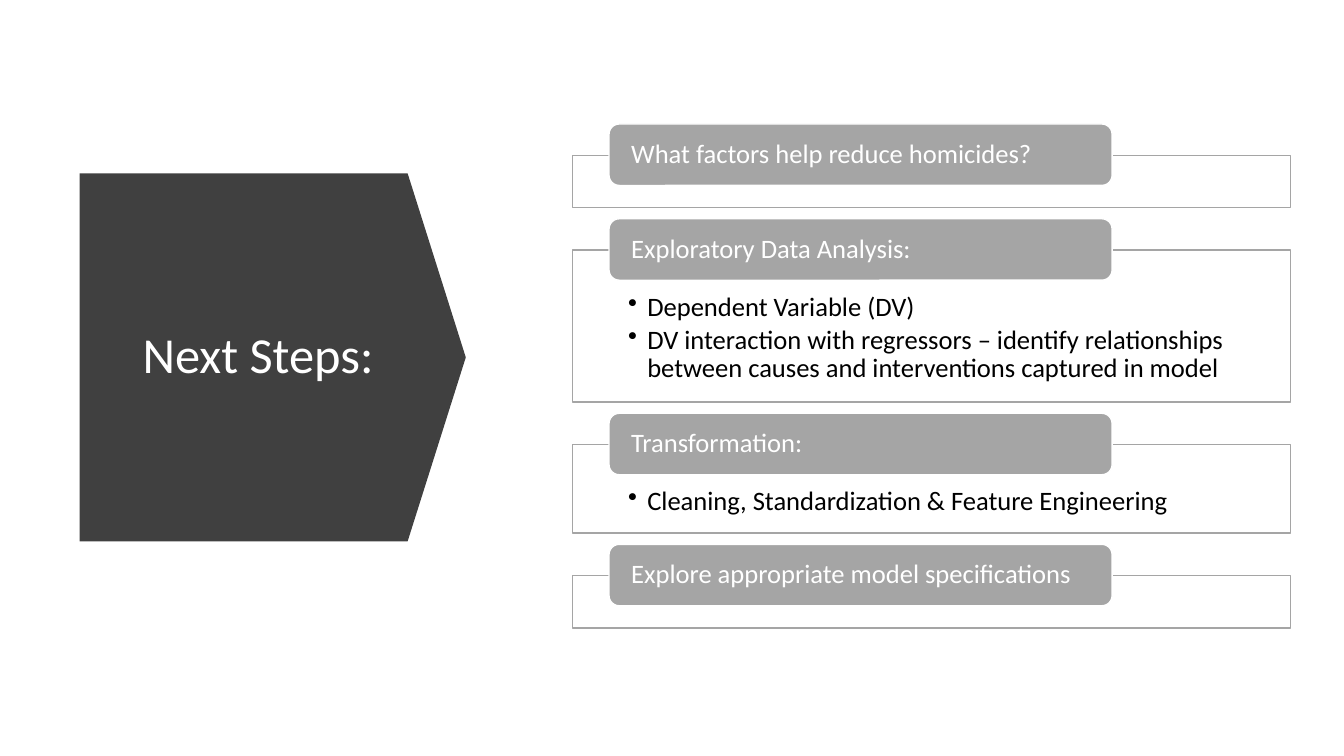
from lxml import etree
from pptx import Presentation
from pptx.dml.color import RGBColor
from pptx.enum.shapes import MSO_SHAPE
from pptx.enum.text import MSO_ANCHOR, PP_ALIGN
from pptx.oxml.ns import qn
from pptx.util import Inches, Pt

ARROW, PANEL, TAB = MSO_SHAPE.DOWN_ARROW, MSO_SHAPE.RECTANGLE, MSO_SHAPE.ROUNDED_RECTANGLE
TOP, MIDDLE = MSO_ANCHOR.TOP, MSO_ANCHOR.MIDDLE
LEFT, CENTER = PP_ALIGN.LEFT, PP_ALIGN.CENTER

COLORS = {"dark": "404040", "gray": "A5A5A5", "white": "FFFFFF", "black": "000000"}
FONT = "Calibri"
FIRST_PANEL_TOP = 1.54
PANEL_GAP = 0.42
TAB_RISE = 0.31
STEPS = [
    ("What factors help reduce homicides?", 0.52, []),
    ("Exploratory Data Analysis:", 1.51, [
        "Dependent Variable (DV)",
        "DV interaction with regressors – identify relationships "
        "between causes and interventions captured in model",
    ]),
    ("Transformation:", 0.88, ["Cleaning, Standardization & Feature Engineering"]),
    ("Explore appropriate model specifications", 0.52, []),
]


class StepsSlide:
    """Holds the slide style and draws each kind of element on the page."""

    def __init__(self, deck):
        self.page = deck.slides.add_slide(deck.slide_layouts[6])

    def color(self, name):
        return RGBColor.from_string(COLORS[name])

    def shape(self, kind, at, fill, line=None):
        box = self.page.shapes.add_shape(kind, *map(Inches, at))
        box.shadow.inherit = False
        box.fill.solid()
        box.fill.fore_color.rgb = self.color(fill)
        if line:
            box.line.color.rgb = self.color(line)
            box.line.width = Pt(1)
        else:
            box.line.fill.background()
        return box

    def text(self, box, lines, size, color, margins, anchor=MIDDLE, align=LEFT, bullets=False):
        frame = box.text_frame
        left, top, right, bottom = map(Inches, margins)
        frame_format = {
            "word_wrap": True, "vertical_anchor": anchor, "margin_left": left,
            "margin_top": top, "margin_right": right, "margin_bottom": bottom,
        }
        for name, value in frame_format.items():
            setattr(frame, name, value)
        for index, line in enumerate(lines):
            para = frame.add_paragraph() if index else frame.paragraphs[0]
            if bullets:
                self.bullet(para)
            para_format = {"alignment": align, "line_spacing": 0.9, "space_after": Pt(3)}
            for name, value in para_format.items():
                setattr(para, name, value)
            span = para.add_run()
            span.text = line
            for name, value in {"name": FONT, "size": Pt(size)}.items():
                setattr(span.font, name, value)
            span.font.color.rgb = self.color(color)

    def bullet(self, para):
        properties = para._p.get_or_add_pPr()
        properties.set("marL", str(Inches(0.19)))
        properties.set("indent", str(Inches(-0.19)))
        etree.SubElement(properties, qn("a:buChar")).set("char", "•")

    def title(self, heading):
        arrow = self.shape(ARROW, (0.88, 1.63, 3.65, 3.83), "dark")
        arrow.rotation = 270
        arrow.adjustments[0] = 1
        arrow.adjustments[1] = 0.158
        box = self.page.shapes.add_textbox(*map(Inches, (1.12, 2.15, 2.88, 2.79)))
        self.text(box, [heading], 36, "white", (0.1, 0.05, 0.1, 0.05), align=CENTER)

    def step(self, top, heading, height, details):
        panel = self.shape(PANEL, (5.68, top, 7.12, height), "white", "gray")
        self.text(panel, details, 19, "black", (0.55, 0.43, 0.55, 0.15), TOP, bullets=True)
        tab = self.shape(TAB, (6.04, top - TAB_RISE, 4.99, 0.61), "gray", "white")
        self.text(tab, [heading], 19, "white", (0.19, 0, 0.19, 0))


def main():
    deck = Presentation()
    deck.slide_width, deck.slide_height = Inches(13.33), Inches(7.5)
    slide = StepsSlide(deck)
    slide.title("Next Steps:")
    top = FIRST_PANEL_TOP
    for heading, height, details in STEPS:
        slide.step(top, heading, height, details)
        top += height + PANEL_GAP
    deck.save("out.pptx")


if __name__ == "__main__":
    main()
